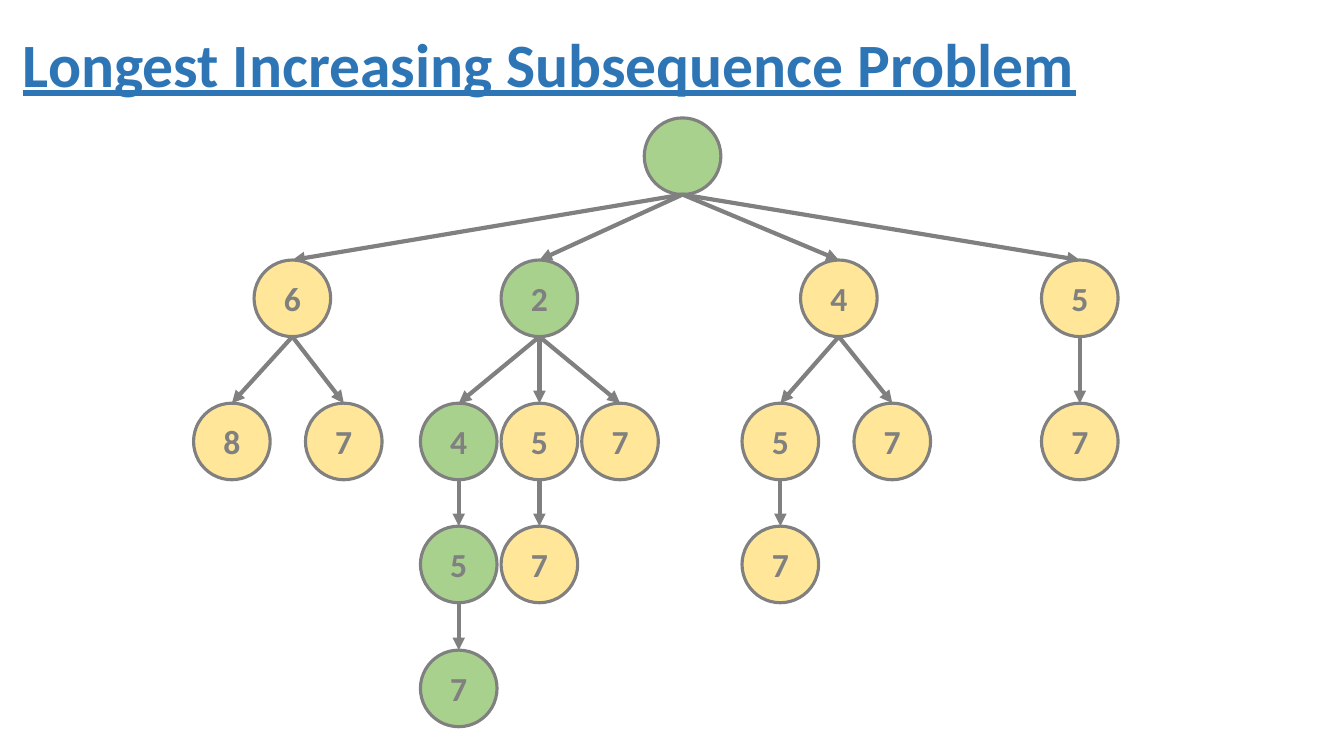
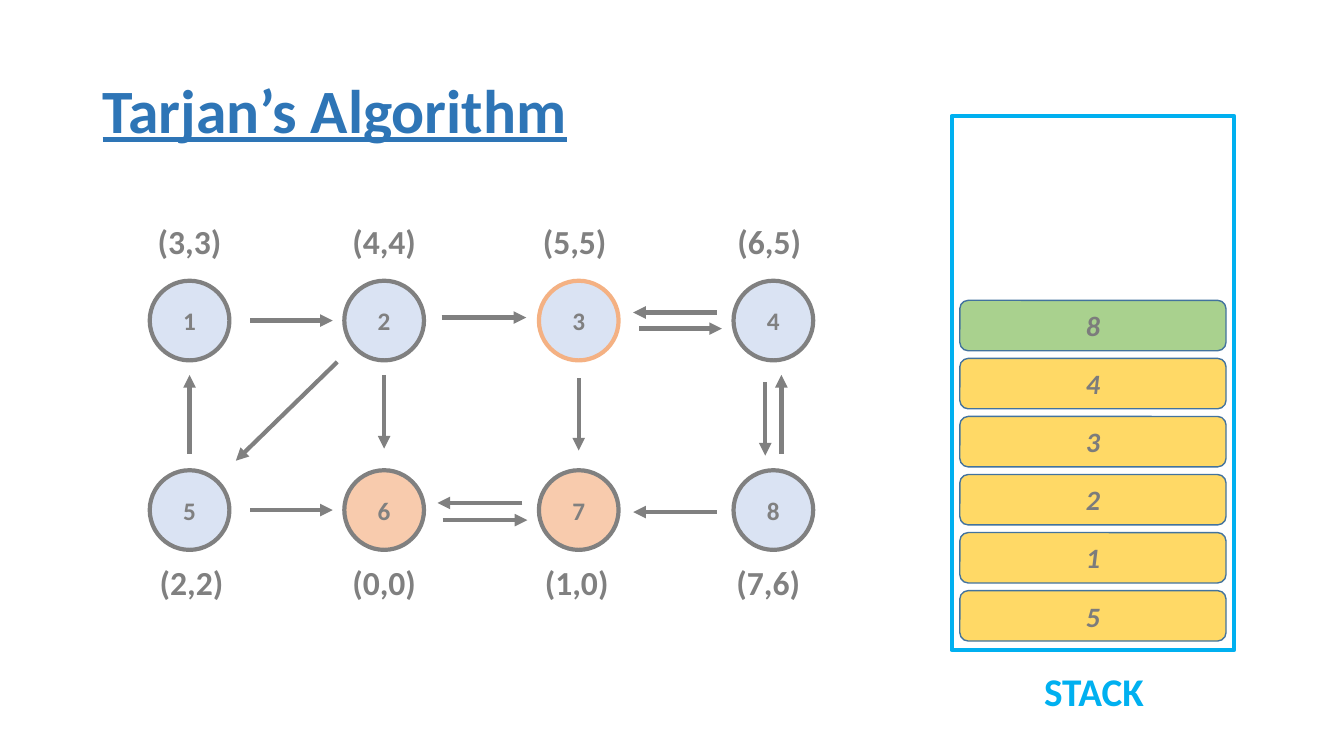
import math

import pptx
import pptx.util
import pptx.dml.color
import pptx.enum.shapes
import pptx.enum.text
import pptx.oxml.ns
from lxml import etree

SHAPE = pptx.enum.shapes.MSO_SHAPE
ALIGN = pptx.enum.text.PP_ALIGN
ANCHOR = pptx.enum.text.MSO_ANCHOR

FONT = "Calibri"
COLOURS = {
    "title": "2E75B6", "grey": "808080", "green": "A9D18E", "cream": "FFE699",
    "pale blue": "DAE3F3", "peach": "F8CBAD", "orange": "F4B183",
    "stack": "00B0F0", "gold": "FFD966", "bar edge": "43739E", "bar text": "7C7C7C",
}

# Search tree: (label, centre x, on the longest path, children)
TREE = ("", 6.77, True, [
    ("6", 2.9, False, [("8", 2.3, False, []), ("7", 3.41, False, [])]),
    ("2", 5.35, True, [
        ("4", 4.55, True, [("5", 4.55, True, [("7", 4.55, True, [])])]),
        ("5", 5.35, False, [("7", 5.35, False, [])]),
        ("7", 6.15, False, []),
    ]),
    ("4", 8.32, False, [
        ("5", 7.74, False, [("7", 7.74, False, [])]),
        ("7", 8.85, False, []),
    ]),
    ("5", 10.71, False, [("7", 10.71, False, [])]),
])
LEVEL_TOPS = [1.17, 2.58, 4, 5.22, 6.45]
TREE_NODE = 0.76

# Graph: nodes 1 to 8 fill a grid of four columns and two rows
GRAPH_COLUMNS = 4
GRAPH_LEFT, GRAPH_TOP = 1.88, 3.18
COLUMN_STEP, ROW_STEP = 1.93, 1.88
GRAPH_NODE = 0.79
FINISHED = {6, 7}
CURRENT = 3
# (index,low-link) of each node, with the centre x of its label
LOW_LINKS = [("(3,3)", 1.88), ("(4,4)", 3.81), ("(5,5)", 5.7), ("(6,5)", 7.63),
             ("(2,2)", 1.9), ("(0,0)", 3.81), ("(1,0)", 5.72), ("(7,6)", 7.62)]
LABEL_TOPS = [2.14, 5.53]
# (from, to, gap at start, gap at end, shift to the right of travel)
EDGES = [
    (1, 2, 0.6, 0.51, 0), (2, 3, 0.57, 0.52, -0.03),
    (3, 4, 0.6, 0.51, 0.08), (4, 3, 0.56, 0.54, 0.08),
    (5, 6, 0.6, 0.51, 0), (6, 7, 0.58, 0.51, 0.1),
    (7, 6, 0.56, 0.53, 0.07), (8, 7, 0.56, 0.54, -0.02),
    (5, 1, 0.56, 0.54, 0), (2, 5, 0.62, 0.67, 0.03), (2, 6, 0.54, 0.61, 0),
    (3, 7, 0.57, 0.59, 0), (4, 8, 0.61, 0.54, 0.08), (8, 4, 0.56, 0.54, 0.08),
]

# Stack, from top to bottom
STACK = ["8", "4", "3", "2", "1", "5"]
STACK_FRAME = (9.44, 1.15, 2.8, 5.3)
BAR_LEFT, BAR_TOP, BAR_WIDTH, BAR_HEIGHT, BAR_STEP = 9.52, 2.98, 2.64, 0.5, 0.576


def inches(*lengths):
    return [pptx.util.Inches(length) for length in lengths]


def rgb(name):
    return pptx.dml.color.RGBColor.from_string(COLOURS[name])


def write(holder, text, size=24, colour="grey", align=ALIGN.CENTER, anchor=ANCHOR.MIDDLE,
          italic=False, underline=False, spacing=1.0, wrap=True):
    frame = holder.text_frame
    frame.word_wrap = wrap
    frame.vertical_anchor = anchor
    paragraph = frame.paragraphs[0]
    paragraph.alignment = align
    paragraph.line_spacing = spacing
    run = paragraph.add_run()
    run.text = text
    font = run.font
    font.name, font.size, font.bold = FONT, pptx.util.Pt(size), True
    font.italic, font.underline = italic, underline
    font.color.rgb = rgb(colour)


def add_label(slide, box, text, **style):
    write(slide.shapes.add_textbox(*inches(*box)), text, **style)


def add_title(slide, text, left, top):
    add_label(slide, (left, top, 11.5, 1.45), text, size=44, colour="title",
              align=ALIGN.LEFT, underline=True, spacing=0.9)


def add_block(slide, kind, box, fill, edge, weight, text="", **style):
    block = slide.shapes.add_shape(kind, *inches(*box))
    block.shadow.inherit = False
    if fill:
        block.fill.solid()
        block.fill.fore_color.rgb = rgb(fill)
    else:
        block.fill.background()
    block.line.color.rgb = rgb(edge)
    block.line.width = pptx.util.Pt(weight)
    if text:
        write(block, text, **style)


def add_node(slide, x, y, diameter, *look, **style):
    box = (x - diameter / 2, y - diameter / 2, diameter, diameter)
    add_block(slide, SHAPE.OVAL, box, *look, **style)


def add_arrow(slide, start, end):
    arrow = slide.shapes.add_connector(pptx.enum.shapes.MSO_CONNECTOR.STRAIGHT,
                                       *inches(*start, *end))
    arrow.line.color.rgb = rgb("grey")
    arrow.line.width = pptx.util.Pt(3)
    qn = pptx.oxml.ns.qn
    etree.SubElement(arrow.line._get_or_add_ln(), qn("a:tailEnd"), type="triangle")
    etree.SubElement(arrow._element.spPr, qn("a:effectLst"))


def draw_tree(slide, node, level=0):
    label, x, on_path, children = node
    top = LEVEL_TOPS[level]
    add_node(slide, x, top + TREE_NODE / 2, TREE_NODE,
             "green" if on_path else "cream", "grey", 2.25, label)
    for child in children:
        add_arrow(slide, (x, top + TREE_NODE), (child[1], LEVEL_TOPS[level + 1]))
        draw_tree(slide, child, level + 1)


def graph_centre(number):
    row, column = divmod(number - 1, GRAPH_COLUMNS)
    return GRAPH_LEFT + column * COLUMN_STEP, GRAPH_TOP + row * ROW_STEP


def draw_graph(slide):
    for number, (low_link, label_x) in enumerate(LOW_LINKS, 1):
        add_node(slide, *graph_centre(number), GRAPH_NODE,
                 "peach" if number in FINISHED else "pale blue",
                 "orange" if number == CURRENT else "grey", 3, str(number), size=18)
        label_top = LABEL_TOPS[(number - 1) // GRAPH_COLUMNS]
        add_label(slide, (label_x - 0.42, label_top, 0.84, 0.5), low_link,
                  anchor=ANCHOR.TOP, wrap=False)
    for source, target, leave, arrive, shift in EDGES:
        (x1, y1), (x2, y2) = graph_centre(source), graph_centre(target)
        length = math.hypot(x2 - x1, y2 - y1)
        ux, uy = (x2 - x1) / length, (y2 - y1) / length
        add_arrow(slide,
                  (x1 + ux * leave - uy * shift, y1 + uy * leave + ux * shift),
                  (x2 - ux * arrive - uy * shift, y2 - uy * arrive + ux * shift))


def draw_stack(slide):
    add_block(slide, SHAPE.RECTANGLE, STACK_FRAME, None, "stack", 3)
    add_label(slide, (9.73, 6.57, 2.24, 0.57), "STACK", size=28, colour="stack",
              anchor=ANCHOR.TOP)
    for place, item in enumerate(STACK):
        box = (BAR_LEFT, BAR_TOP + place * BAR_STEP, BAR_WIDTH, BAR_HEIGHT)
        add_block(slide, SHAPE.ROUNDED_RECTANGLE, box, "gold" if place else "green",
                  "bar edge", 1, item, size=20, colour="bar text", italic=True)


def main():
    deck = pptx.Presentation()
    deck.slide_width, deck.slide_height = inches(13.33, 7.5)
    blank = deck.slide_layouts[6]

    subsequence = deck.slides.add_slide(blank)
    add_title(subsequence, "Longest Increasing Subsequence Problem", 0.13, -0.06)
    draw_tree(subsequence, TREE)

    tarjan = deck.slides.add_slide(blank)
    add_title(tarjan, "Tarjan’s Algorithm", 0.92, 0.4)
    draw_graph(tarjan)
    draw_stack(tarjan)

    deck.save("out.pptx")


if __name__ == "__main__":
    main()
